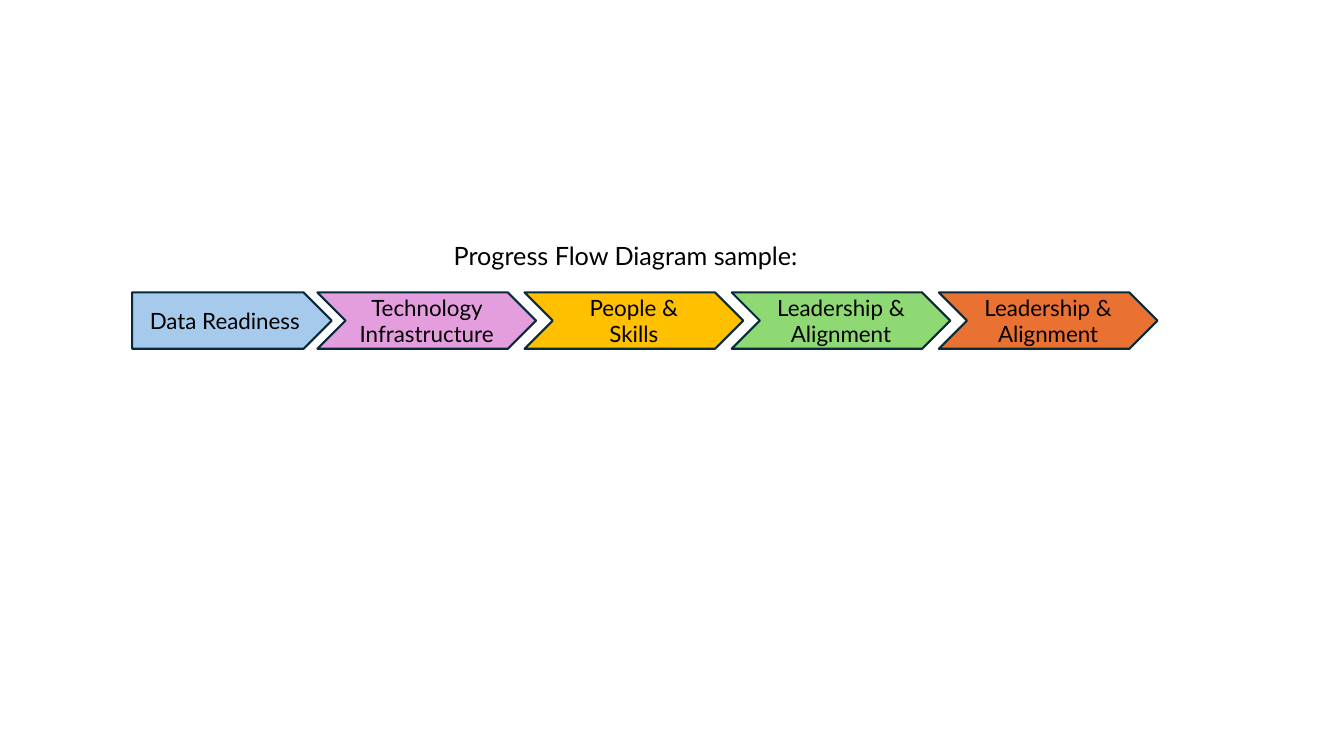
import dataclasses

import pptx
import pptx.dml.color
import pptx.enum.shapes
import pptx.enum.text
import pptx.util

Cm = pptx.util.Cm
Pt = pptx.util.Pt
PRESET = pptx.enum.shapes.MSO_SHAPE
ANCHOR = pptx.enum.text.MSO_ANCHOR
ALIGN = pptx.enum.text.PP_ALIGN
TITLE_ONLY = 5


def rgb(code):
    return pptx.dml.color.RGBColor.from_string(code)


@dataclasses.dataclass(frozen=True)
class Theme:
    font: str = "Lato"
    text: str = "000000"
    outline: str = "092A39"
    outline_width: float = 1.5
    heading_size: int = 18
    stage_size: int = 16
    blue: str = "A6CAEC"
    pink: str = "E59EDD"
    amber: str = "FFC000"
    green: str = "8ED973"
    orange: str = "E97132"


class FlowSlide:
    def __init__(self, slide, theme):
        self.slide = slide
        self.theme = theme

    def set_label(self, frame, text, size, align, anchor):
        frame.text = text
        frame.vertical_anchor = anchor
        paragraph = frame.paragraphs[0]
        paragraph.alignment = align
        paragraph.line_spacing = 1.0
        font = paragraph.runs[0].font
        font.name = self.theme.font
        font.size = Pt(size)
        font.color.rgb = rgb(self.theme.text)

    def heading(self, text, left, top, width, height):
        title = self.slide.shapes.title
        title.left, title.top = Cm(left), Cm(top)
        title.width, title.height = Cm(width), Cm(height)
        frame = title.text_frame
        frame.word_wrap = False
        frame.auto_size = pptx.enum.text.MSO_AUTO_SIZE.SHAPE_TO_FIT_TEXT
        self.set_label(frame, text, self.theme.heading_size, ALIGN.LEFT, ANCHOR.TOP)

    def stage(self, preset, text, color, left, top, width, height):
        arrow = self.slide.shapes.add_shape(
            preset, Cm(left), Cm(top), Cm(width), Cm(height))
        arrow.shadow.inherit = False
        arrow.fill.solid()
        arrow.fill.fore_color.rgb = rgb(color)
        arrow.line.color.rgb = rgb(self.theme.outline)
        arrow.line.width = Pt(self.theme.outline_width)
        frame = arrow.text_frame
        frame.word_wrap = True
        self.set_label(frame, text, self.theme.stage_size, ALIGN.CENTER, ANCHOR.MIDDLE)


def main():
    presentation = pptx.Presentation()
    presentation.slide_width = Cm(33.87)
    presentation.slide_height = Cm(19.05)
    theme = Theme()
    layout = presentation.slide_layouts[TITLE_ONLY]
    flow = FlowSlide(presentation.slides.add_slide(layout), theme)

    flow.heading("Progress Flow Diagram sample:", 11.18, 5.92, 9.19, 1.02)

    stage_top, stage_height = 7.37, 1.42
    flow.stage(PRESET.PENTAGON, "Data Readiness", theme.blue,
               3.33, stage_top, 5.03, stage_height)

    later_stages = [
        ("Technology Infrastructure", theme.pink),
        ("People & Skills", theme.amber),
        ("Leadership & Alignment", theme.green),
        ("Leadership & Alignment", theme.orange),
    ]
    first_chevron_left, chevron_pitch, chevron_width = 8.0, 5.22, 5.51
    for index, (label, color) in enumerate(later_stages):
        flow.stage(PRESET.CHEVRON, label, color,
                   first_chevron_left + index * chevron_pitch,
                   stage_top, chevron_width, stage_height)

    presentation.save("out.pptx")


if __name__ == "__main__":
    main()
